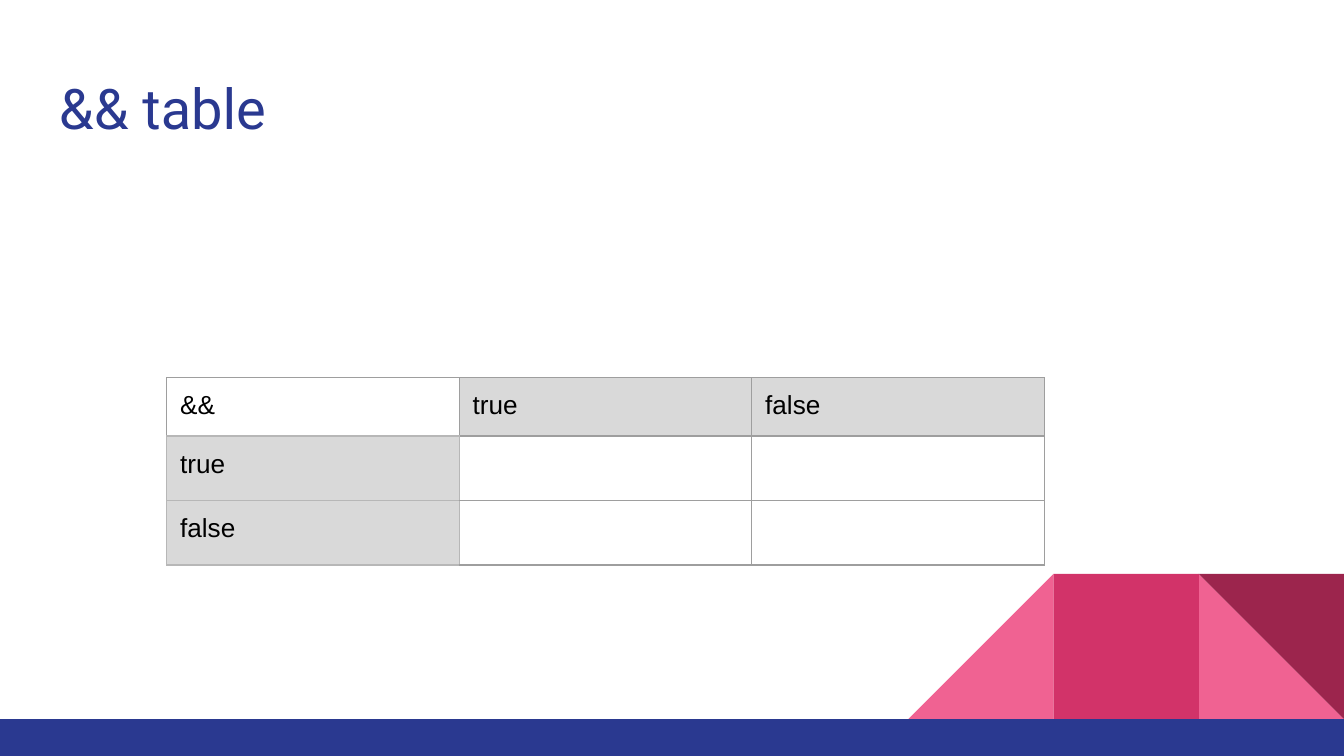
from lxml import etree
from pptx import Presentation
from pptx import util as u
from pptx.dml.color import RGBColor
from pptx.enum import shapes, text
from pptx.oxml.ns import qn

COLORS = {
    "navy": "2A3990", "pink": "F06292", "rose": "D23369", "wine": "9C254D",
    "black": "000000", "white": "FFFFFF", "shade": "D9D9D9",
    "edge": "9E9E9E", "pale": "B7B7B7",
}
ROWS = [["&&", "true", "false"], ["true", "", ""], ["false", "", ""]]
HEIGHTS = [0.43, 0.48, 0.48]
WIDTH = 6.53
TILE = 1.08
FLOOR = 5.35


def rgb(name):
    return RGBColor.from_string(COLORS[name])


def write(frame, words, size=14, font="Arial", color="black"):
    frame.word_wrap = True
    para = frame.paragraphs[0]
    if not words:
        end = etree.SubElement(para._p, qn("a:endParaRPr"), sz=str(size * 100))
        etree.SubElement(end, qn("a:latin"), typeface=font)
        return
    run = para.add_run()
    run.text = words
    run.font.size = u.Pt(size)
    run.font.name = font
    run.font.color.rgb = rgb(color)


def add_block(slide, kind, box, color):
    shape = slide.shapes.add_shape(kind, *map(u.Inches, box))
    shape.shadow.inherit = False
    shape.fill.solid()
    shape.fill.fore_color.rgb = rgb(color)
    shape.line.fill.background()
    return shape


def add_decor(slide):
    wedge = shapes.MSO_SHAPE.RIGHT_TRIANGLE
    square = shapes.MSO_SHAPE.RECTANGLE
    top = FLOOR - TILE
    left, mid, right = (10 - TILE * n for n in (3, 2, 1))
    add_block(slide, wedge, (right, top, TILE, TILE), "pink")
    slope = add_block(slide, wedge, (left, top, TILE, TILE), "pink")
    slope._element.spPr.find(qn("a:xfrm")).set("flipH", "1")
    add_block(slide, square, (mid, top, TILE, TILE), "rose")
    add_block(slide, wedge, (right, top, TILE, TILE), "wine").rotation = 180
    add_block(slide, square, (0, FLOOR, 10, 0.28), "navy")


def add_title(slide, words):
    box = slide.shapes.add_textbox(*map(u.Inches, (0.34, 0.45, 9.32, 0.66)))
    frame = box.text_frame
    frame.margin_left = frame.margin_right = u.Inches(0.1)
    frame.margin_top = frame.margin_bottom = u.Inches(0.1)
    frame.vertical_anchor = text.MSO_ANCHOR.TOP
    write(frame, words, size=30, font="Roboto", color="navy")


def edge_color(row, col, side):
    label = row > 0 and col == 0
    beside = row > 0 and col == 1 and side == "L"
    above = row == 0 and col == 0 and side == "B"
    return "pale" if label or beside or above else "edge"


def add_edge(cell, side, color):
    line = etree.SubElement(cell._tc.get_or_add_tcPr(), qn("a:ln" + side),
                            w=str(u.Pt(0.75)))
    fill = etree.SubElement(line, qn("a:solidFill"))
    etree.SubElement(fill, qn("a:srgbClr"), val=COLORS[color])


def add_grid(slide):
    count = len(ROWS[0])
    box = (1.24, 2.81, WIDTH, sum(HEIGHTS))
    grid = slide.shapes.add_table(len(ROWS), count, *map(u.Inches, box)).table
    for col in grid.columns:
        col.width = u.Inches(WIDTH / count)
    for r, words in enumerate(ROWS):
        grid.rows[r].height = u.Inches(HEIGHTS[r])
        for c, word in enumerate(words):
            cell = grid.cell(r, c)
            cell.margin_left = cell.margin_right = u.Inches(0.1)
            cell.margin_top = cell.margin_bottom = u.Inches(0.1)
            for side in "LRTB":
                add_edge(cell, side, edge_color(r, c, side))
            cell.fill.solid()
            header = (r == 0) != (c == 0)
            cell.fill.fore_color.rgb = rgb("shade" if header else "white")
            write(cell.text_frame, word)


def main():
    deck = Presentation()
    deck.slide_width = u.Inches(10)
    deck.slide_height = u.Inches(10 * 9 / 16)
    slide = deck.slides.add_slide(deck.slide_layouts[6])
    add_decor(slide)
    add_title(slide, "&& table")
    add_grid(slide)
    deck.save("out.pptx")


if __name__ == "__main__":
    main()
